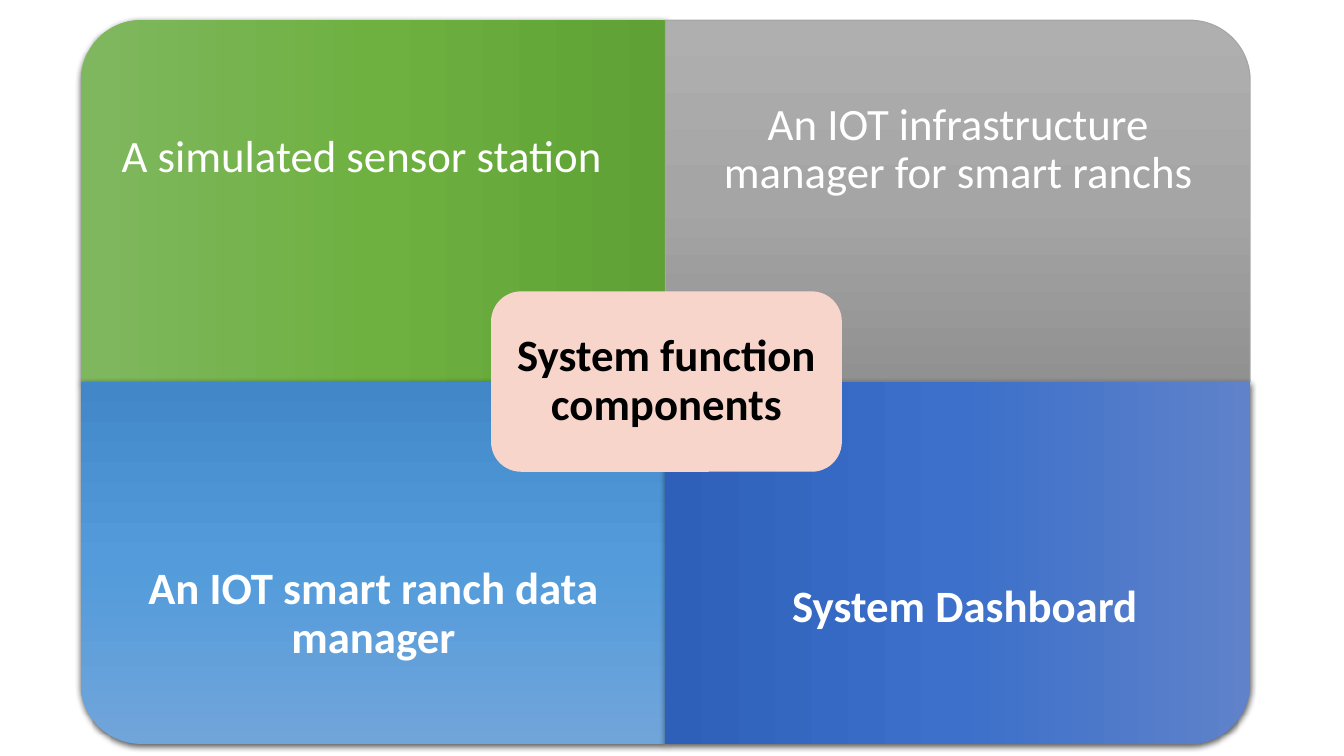
from copy import deepcopy

from lxml import etree
from pptx import Presentation
from pptx.dml.color import RGBColor
from pptx.enum.shapes import MSO_SHAPE
from pptx.enum.text import MSO_ANCHOR, PP_ALIGN
from pptx.oxml.ns import qn
from pptx.util import Inches, Pt

ROUND_ONE = MSO_SHAPE.ROUND_1_RECTANGLE
ROUND_ALL = MSO_SHAPE.ROUNDED_RECTANGLE
MIDDLE = MSO_ANCHOR.MIDDLE
CENTER = PP_ALIGN.CENTER

WHITE = RGBColor(0xFF, 0xFF, 0xFF)
BLACK = RGBColor(0x00, 0x00, 0x00)
PINK = RGBColor(0xF7, 0xD5, 0xCB)
GRAY = RGBColor(0xA5, 0xA5, 0xA5)
GREENS = [RGBColor(0x7F, 0xB7, 0x5F), RGBColor(0x6E, 0xB1, 0x41), RGBColor(0x5F, 0xA1, 0x34)]
GRAYS = [RGBColor(0xAF, 0xAF, 0xAF), GRAY, RGBColor(0x91, 0x91, 0x91)]
SKIES = [RGBColor(0x70, 0xA5, 0xDA), RGBColor(0x53, 0x9B, 0xDB), RGBColor(0x42, 0x88, 0xC8)]
BLUES = [RGBColor(0x5F, 0x82, 0xCA), RGBColor(0x3C, 0x70, 0xCA), RGBColor(0x2E, 0x60, 0xB9)]

LEFT, TOP, QUAD_W, QUAD_H = 0.8, 0.2, 5.8, 3.59
CORNER = 0.167
NEAR, FAR = 0.13, 0.25  # text margins at the outer and inner edges


def write_text(sp, text, color, bold, margins):
    tf = sp.text_frame
    tf.word_wrap = True
    tf.vertical_anchor = MIDDLE
    for side, margin in zip(("left", "top", "right", "bottom"), margins):
        setattr(tf, f"margin_{side}", Inches(margin))
    p = tf.paragraphs[0]
    p.alignment = CENTER
    p.line_spacing = 0.9
    r = p.add_run()
    r.text = text
    for name, value in {"name": "Calibri", "size": Pt(32), "bold": bold}.items():
        setattr(r.font, name, value)
    r.font.color.rgb = color


prs = Presentation()
prs.slide_width, prs.slide_height = Inches(13.33), Inches(7.5)
s = prs.slides.add_slide(prs.slide_layouts[6])

# column, row, rotation, gradient, text, bold, text box, margins
quadrants = [
    (0, 0, 270, GREENS, "A simulated sensor station ", False,
     (0.8, 0.36, 5.8, 2.53), (NEAR, NEAR, FAR, FAR)),
    (1, 0, 0, GRAYS, "An IOT infrastructure manager for smart ranchs", False,
     (6.61, 0.2, 5.67, 2.69), (FAR, NEAR, NEAR, FAR)),
    (0, 1, 180, SKIES, "An IOT smart ranch data manager", True,
     (0.93, 4.69, 5.67, 2.69), (NEAR, FAR, FAR, NEAR)),
    (1, 1, 90, BLUES, "System Dashboard", True,
     (6.61, 4.69, 5.8, 2.56), (FAR, FAR, NEAR, NEAR)),
]

for col, row, rotation, colors, text, bold, box, margins in quadrants:
    # A quarter turn swaps width and height around the same centre
    w, h = (QUAD_H, QUAD_W) if rotation % 180 else (QUAD_W, QUAD_H)
    x = LEFT + (col + 0.5) * QUAD_W - w / 2
    y = TOP + (row + 0.5) * QUAD_H - h / 2
    sp = s.shapes.add_shape(ROUND_ONE, Inches(x), Inches(y), Inches(w), Inches(h))
    sp.adjustments[0] = CORNER
    sp.rotation = rotation
    sp.shadow.inherit = False

    sp.fill.gradient()
    sp.fill.gradient_angle = 270
    stops = sp._element.spPr.find(qn("a:gradFill")).find(qn("a:gsLst"))
    stops.insert(1, deepcopy(stops[0]))
    for stop, position, color in zip(sp.fill.gradient_stops, (0, 0.5, 1), colors):
        stop.position = position
        stop.color.rgb = color

    if colors is GRAYS:
        sp.line.color.rgb = GRAY
        sp.line.width = Pt(0.75)
    else:
        sp.line.fill.background()
        effects = sp._element.spPr.find(qn("a:effectLst"))
        shadow = etree.SubElement(effects, qn("a:outerShdw"), blurRad=str(Pt(4.5)),
                                  dist=str(Pt(1.5)), dir="5400000", algn="ctr",
                                  rotWithShape="0")
        shade = etree.SubElement(shadow, qn("a:srgbClr"), val=str(BLACK))
        etree.SubElement(shade, qn("a:alpha"), val="63000")

    label = s.shapes.add_textbox(*map(Inches, box))
    write_text(label, text, WHITE, bold, margins)

hub = s.shapes.add_shape(ROUND_ALL, Inches(4.87), Inches(2.89), Inches(3.48), Inches(1.79))
hub.adjustments[0] = CORNER
hub.shadow.inherit = False
hub.fill.solid()
hub.fill.fore_color.rgb = PINK
hub.line.fill.background()
write_text(hub, "System function components", BLACK, True, [NEAR] * 4)

prs.save("out.pptx")
